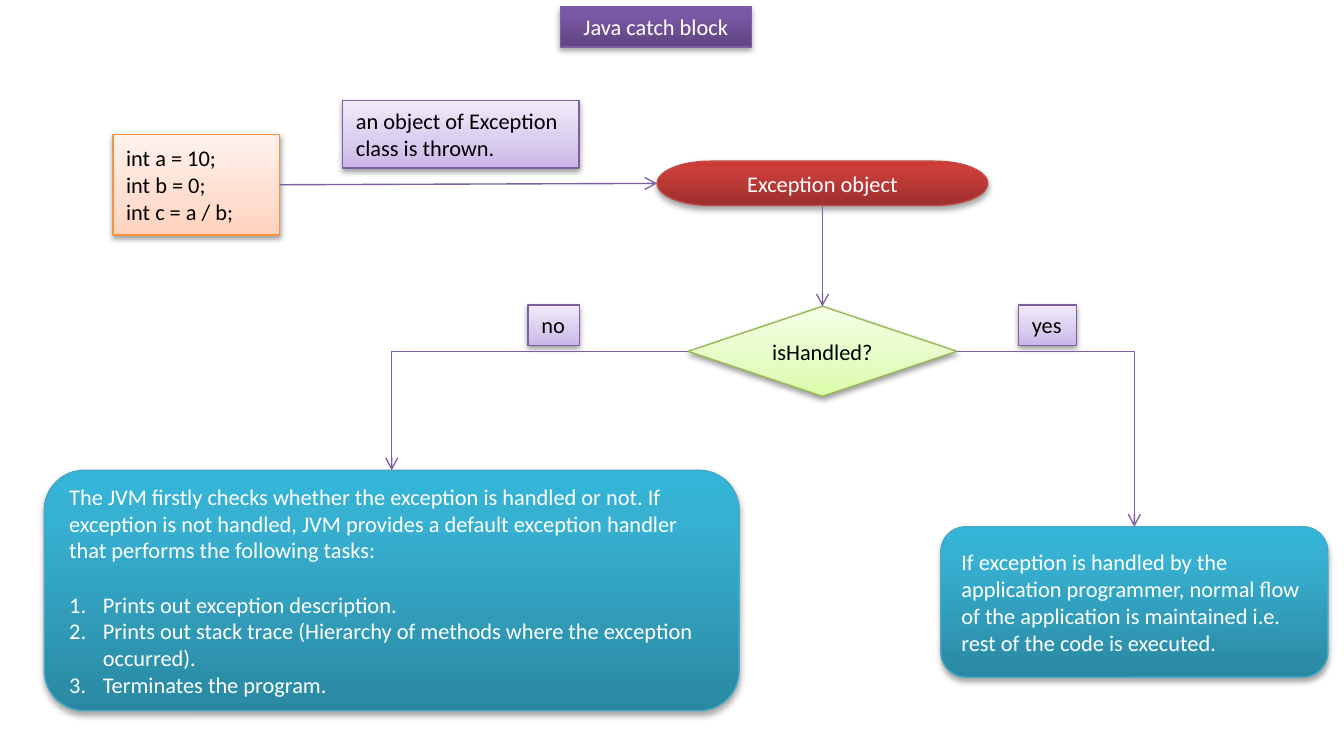
from copy import deepcopy

from lxml.etree import SubElement
from pptx import Presentation
from pptx.dml.color import RGBColor
from pptx.enum.shapes import MSO_CONNECTOR, MSO_SHAPE
from pptx.enum.text import MSO_ANCHOR, MSO_AUTO_SIZE, PP_ALIGN
from pptx.oxml.ns import qn
from pptx.util import Inches, Pt

FONT, SIZE = "Calibri", Pt(12)
COLUMNS, ROWS = 100, 55
COLORS = {"white": "FFFFFF", "black": "000000", "purple": "7D60A0"}

STRONG = {"stops": (0, 0.8, 1), "text": "white", "alpha": 35000, "distance": 23000}
SOFT = {"stops": (0, 0.35, 1), "text": "black", "alpha": 38000, "distance": 20000}
STYLES = {
    "title": {**STRONG, "fills": ("5F4480", "7B58A6", "7C57A8"), "line": COLORS["purple"]},
    "code": {**SOFT, "fills": ("FFD2BD", "FFDED0", "FFF2ED"), "line": "F69240"},
    "object": {**STRONG, "fills": ("9C2F2D", "CB3E3A", "CE3B37"), "line": "BF4C48"},
    "decision": {**SOFT, "fills": ("DAFDA7", "E4FCC2", "F5FFE7"), "line": "98B955"},
    "outcome": {**STRONG, "fills": ("2A88A2", "37B1D2", "34B4D6"), "line": "46AAC5"},
    "label": {**SOFT, "fills": ("C9B5E8", "D8CBEE", "F0EAF9"), "line": COLORS["purple"]},
}
CENTERED = {"title", "object", "decision"}

NODES = [
    ("title", "title", MSO_SHAPE.RECTANGLE, (41.7, 0.5, 14.2, 3), ["Java catch block"]),
    ("code", "code", MSO_SHAPE.FLOWCHART_PROCESS, (8.4, 10, 12.4, 7.5),
     ["int a = 10;", "int b = 0;", "int c = a / b;"]),
    ("object", "object", MSO_SHAPE.FLOWCHART_TERMINATOR, (48.9, 12, 24.6, 3.3),
     ["Exception object"]),
    ("decision", "decision", MSO_SHAPE.FLOWCHART_DECISION, (51.2, 22.8, 20, 6.7),
     ["isHandled?"]),
    ("handled", "outcome", MSO_SHAPE.FLOWCHART_ALTERNATE_PROCESS, (70, 39.2, 28.8, 11.2),
     ["If exception is handled by the application programmer, normal flow of the "
      "application is maintained i.e. rest of the code is executed."]),
    ("unhandled", "outcome", MSO_SHAPE.FLOWCHART_ALTERNATE_PROCESS, (3.3, 35, 51.7, 17.9),
     ["The JVM firstly checks whether the exception is handled or not. If exception is "
      "not handled, JVM provides a default exception handler that performs the "
      "following tasks:"]),
    ("yes", "label", MSO_SHAPE.RECTANGLE, (75.8, 22.7, 4.3, 3), ["yes"]),
    ("no", "label", MSO_SHAPE.RECTANGLE, (39.3, 22.7, 3.8, 3), ["no"]),
    ("thrown", "label", MSO_SHAPE.RECTANGLE, (25.5, 7.5, 17.6, 5),
     ["an object of Exception", "class is thrown."]),
]
TASKS = {
    "unhandled": [
        "Prints out exception description.",
        "Prints out stack trace (Hierarchy of methods where the exception occurred).",
        "Terminates the program.",
    ],
}
TOP, LEFT, BOTTOM, RIGHT = range(4)
LINKS = [
    ("decision", RIGHT, "handled", TOP, True),
    ("decision", LEFT, "unhandled", TOP, True),
    ("object", BOTTOM, "decision", TOP, False),
    ("code", RIGHT, "object", LEFT, False),
]


def paint(shape, style):
    shape.fill.gradient()
    stop_list = shape.element.spPr.find(".//" + qn("a:gsLst"))
    stop_list.append(deepcopy(stop_list[0]))
    for stop, position, color in zip(shape.fill.gradient_stops, style["stops"], style["fills"]):
        stop.position = position
        stop.color.rgb = RGBColor.from_string(color)
    shape.fill.gradient_angle = 90
    shape.line.color.rgb = RGBColor.from_string(style["line"])
    shape.line.width = Pt(0.75)
    shape.shadow.inherit = False
    effects = shape.element.spPr.find(qn("a:effectLst"))
    shadow = SubElement(effects, qn("a:outerShdw"), blurRad="40000",
                        dist=str(style["distance"]), dir="5400000", rotWithShape="0")
    color = SubElement(shadow, qn("a:srgbClr"), val=COLORS["black"])
    SubElement(color, qn("a:alpha"), val=str(style["alpha"]))


def number(para):
    properties = para._p.get_or_add_pPr()
    properties.set("marL", str(Inches(0.25)))
    properties.set("indent", str(-Inches(0.25)))
    SubElement(properties, qn("a:buFont"), typeface="+mj-lt")
    SubElement(properties, qn("a:buAutoNum"), type="arabicPeriod")


def write(shape, kind, lines, tasks):
    frame = shape.text_frame
    frame.text = "\n".join(lines + tasks)
    frame.word_wrap = kind != "label"
    fitted = kind in ("title", "label")
    frame.vertical_anchor = MSO_ANCHOR.TOP if fitted else MSO_ANCHOR.MIDDLE
    frame.auto_size = MSO_AUTO_SIZE.SHAPE_TO_FIT_TEXT if fitted else MSO_AUTO_SIZE.NONE
    for index, para in enumerate(frame.paragraphs):
        para.alignment = PP_ALIGN.CENTER if kind in CENTERED else PP_ALIGN.LEFT
        if index == len(lines):
            para.space_before = Pt(14.6)
        if index >= len(lines):
            number(para)
        for span in para.runs:
            span.font.name, span.font.size = FONT, SIZE
            span.font.color.rgb = RGBColor.from_string(COLORS[STYLES[kind]["text"]])


def link(page, start, start_side, end, end_side, bent):
    kind = MSO_CONNECTOR.ELBOW if bent else MSO_CONNECTOR.STRAIGHT
    arrow = page.shapes.add_connector(kind, 0, 0, 0, 0)
    arrow.begin_connect(start, start_side)
    arrow.end_connect(end, end_side)
    properties = arrow.element.spPr
    if bent:
        properties.find(qn("a:prstGeom")).set("prst", "bentConnector2")
    arrow.line.color.rgb = RGBColor.from_string(COLORS["purple"])
    arrow.line.width = Pt(0.75)
    SubElement(properties.find(qn("a:ln")), qn("a:tailEnd"), type="arrow")
    SubElement(properties, qn("a:effectLst"))


def main():
    deck = Presentation()
    deck.slide_width, deck.slide_height = Inches(10), Inches(5.5)
    page = deck.slides.add_slide(deck.slide_layouts[6])
    column, row = deck.slide_width / COLUMNS, deck.slide_height / ROWS
    shapes = {}
    for name, kind, outline, (left, top, width, height), lines in NODES:
        shape = page.shapes.add_shape(outline, int(left * column), int(top * row),
                                      int(width * column), int(height * row))
        paint(shape, STYLES[kind])
        write(shape, kind, lines, TASKS.get(name, []))
        shapes[name] = shape
    for start, start_side, end, end_side, bent in LINKS:
        link(page, shapes[start], start_side, shapes[end], end_side, bent)
    deck.save("out.pptx")


if __name__ == "__main__":
    main()
